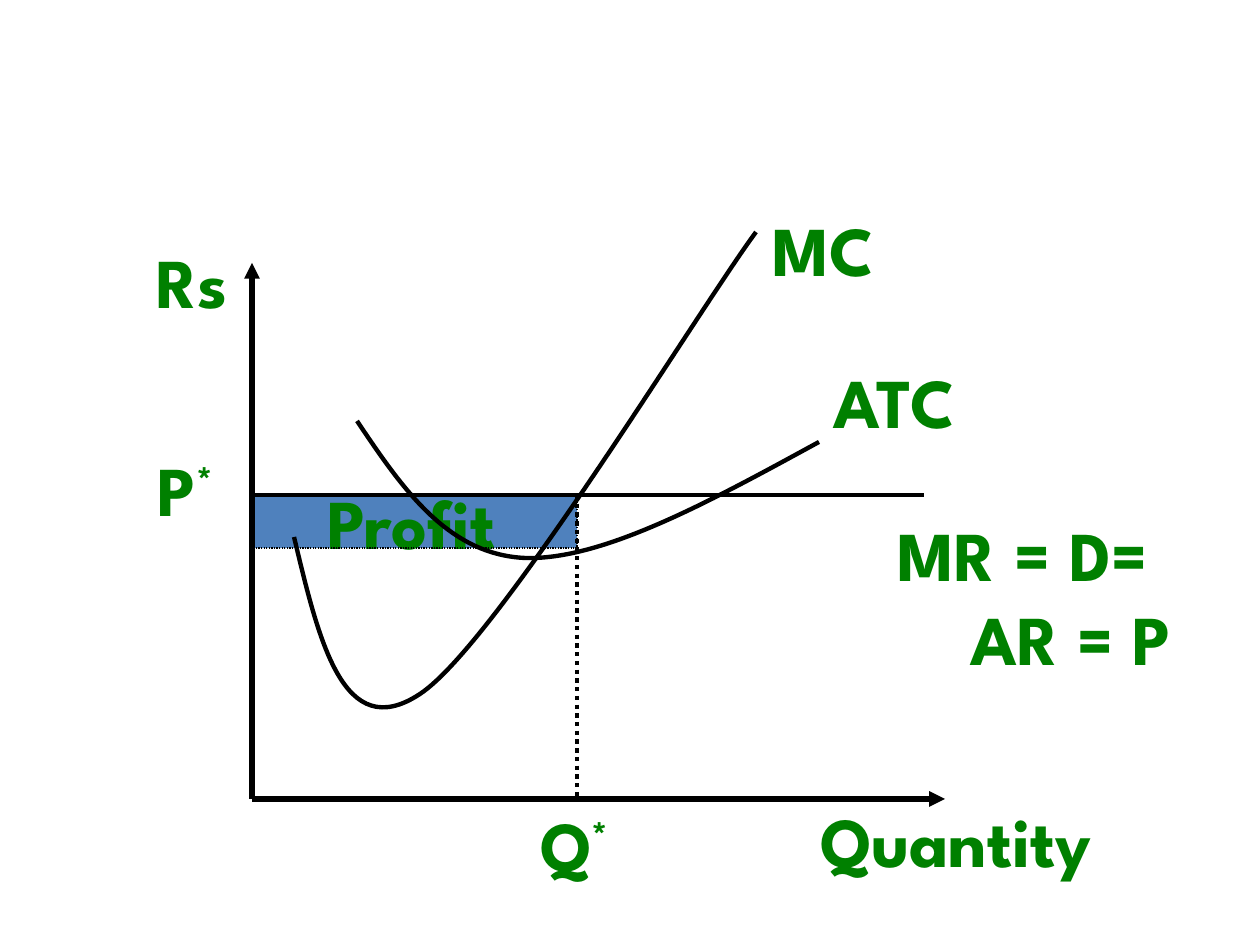
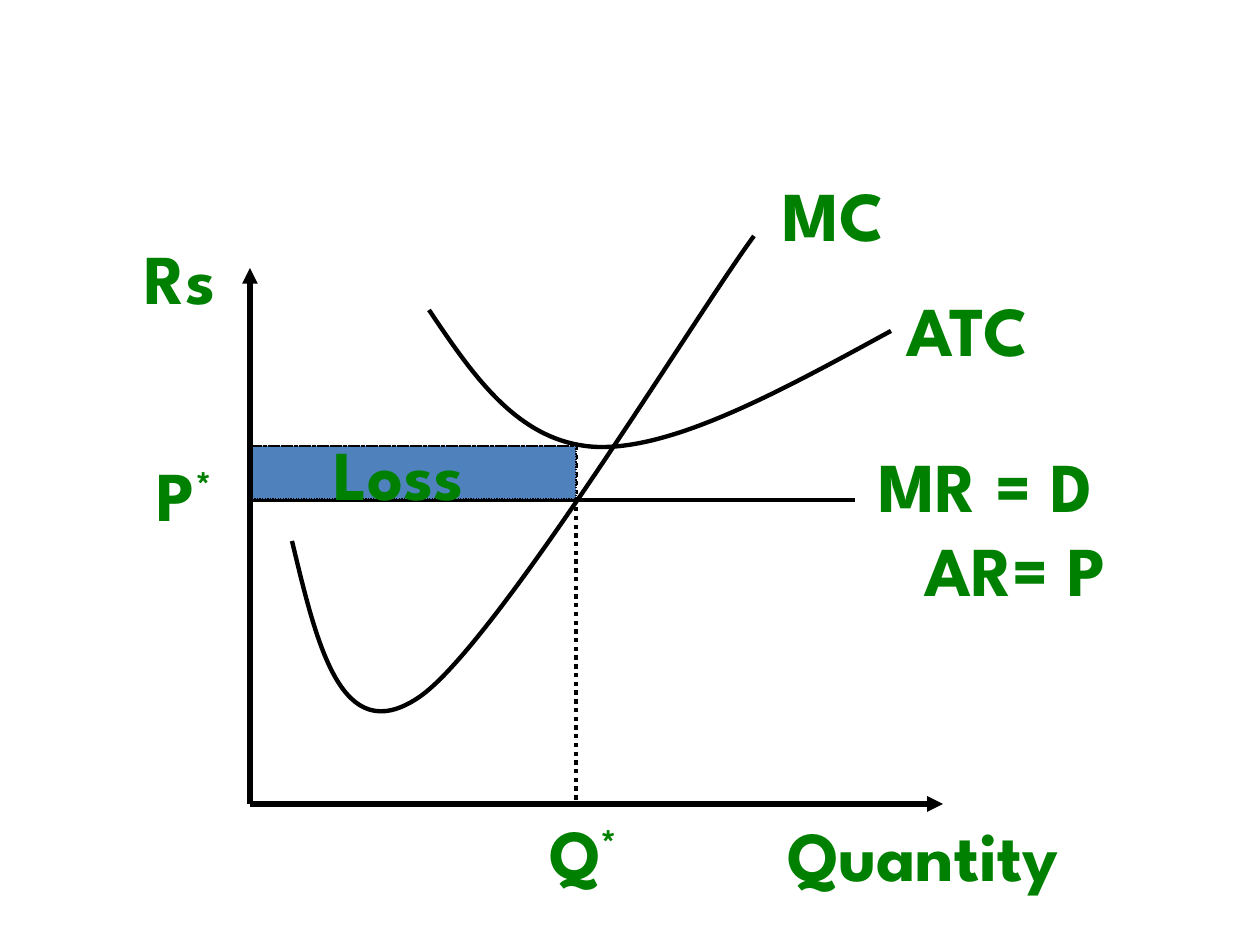
from lxml.etree import SubElement
from pptx import Presentation
from pptx.dml.color import RGBColor
from pptx.enum.dml import MSO_LINE
from pptx.enum.shapes import MSO_CONNECTOR, MSO_SHAPE
from pptx.enum.text import MSO_ANCHOR, PP_ALIGN
from pptx.oxml.ns import qn
from pptx.util import Pt

PX = 914400 / 126
BLACK = RGBColor(0x00, 0x00, 0x00)
GREEN = RGBColor(0x00, 0x80, 0x00)
BLUE = RGBColor(0x4F, 0x81, 0xBD)

MC_CURVE = [(25, 104), (49, 208), (126, 157), (202, 107), (405, -228), (462, -305)]
ATC_CURVE = [(45, 67), (90, 133), (167, 137), (245, 140), (354, 80), (462, 21)]
LABEL_HEIGHT = 97
LABEL_WIDTHS = {"Rs": 106, "MC": 135, "ATC": 159, "Quantity": 336, "Q*": 102, "P*": 91}
AREA_HEIGHT = 53


def emu(*lengths):
    return [round(length * PX) for length in lengths]


class Diagram:
    font = "League Spartan"
    size = Pt(40)
    axis_width = 3
    curve_width = 2.5
    edge_width = 0.75

    def __init__(self, deck):
        self.slide = deck.slides.add_slide(deck.slide_layouts[6])
        self.shapes = self.slide.shapes

    def stroke(self, line, width, dotted=False):
        line.color.rgb = BLACK
        line.width = Pt(width)
        if dotted:
            line.dash_style = MSO_LINE.ROUND_DOT

    def line(self, start, end, width, dotted=False, arrow=False):
        connector = self.shapes.add_connector(MSO_CONNECTOR.STRAIGHT, *emu(*start, *end))
        self.stroke(connector.line, width, dotted)
        if arrow:
            SubElement(connector.line._get_or_add_ln(), qn("a:tailEnd"), type="triangle")
        SubElement(connector.element.spPr, qn("a:effectLst"))

    def curve(self, start, offsets):
        x, y = start
        builder = self.shapes.build_freeform(x, y, scale=PX)
        builder.add_line_segments([(x + dx, y + dy) for dx, dy in offsets], close=False)
        outline = builder.convert_to_shape()
        outline.shadow.inherit = False
        outline.fill.background()
        self.stroke(outline.line, self.curve_width)
        segments = list(outline.element.iter(qn("a:lnTo")))
        for first in range(0, len(segments), 3):
            bezier = SubElement(segments[first].getparent(), qn("a:cubicBezTo"))
            for segment in segments[first:first + 3]:
                bezier.append(segment[0])
                segment.getparent().remove(segment)

    def add_text(self, paragraph, text, raised=False):
        run = paragraph.add_run()
        run.text = text
        run.font.name = self.font
        run.font.size = self.size
        run.font.bold = True
        run.font.color.rgb = GREEN
        if raised:
            run.font._element.set("baseline", "30000")

    def indent(self, paragraph, distance):
        paragraph.alignment = PP_ALIGN.LEFT
        paragraph._p.get_or_add_pPr().set("marL", str(*emu(distance)))

    def label(self, text, left, top):
        box = self.shapes.add_textbox(*emu(left, top, LABEL_WIDTHS[text], LABEL_HEIGHT))
        box.text_frame.word_wrap = False
        paragraph = box.text_frame.paragraphs[0]
        paragraph.alignment = PP_ALIGN.CENTER
        self.add_text(paragraph, text.rstrip("*"))
        if text.endswith("*"):
            self.add_text(paragraph, "*", raised=True)

    def demand_label(self, first, second, left, top, step):
        box = self.shapes.add_textbox(*emu(left, top, 330, 181))
        frame = box.text_frame
        frame.word_wrap = True
        self.indent(frame.paragraphs[0], 0)
        self.add_text(frame.paragraphs[0], first)
        equality = frame.add_paragraph()
        self.indent(equality, step)
        self.add_text(equality, second)

    def area(self, name, left, top, right, indent):
        region = self.shapes.add_shape(
            MSO_SHAPE.RECTANGLE, *emu(left, top, right - left, AREA_HEIGHT))
        region.shadow.inherit = False
        region.fill.solid()
        region.fill.fore_color.rgb = BLUE
        self.stroke(region.line, self.edge_width, dotted=True)
        frame = region.text_frame
        frame.word_wrap = True
        frame.vertical_anchor = MSO_ANCHOR.MIDDLE
        self.indent(frame.paragraphs[0], indent)
        self.add_text(frame.paragraphs[0], name)

    def axes(self, origin, top, right):
        x, y = origin
        self.line(origin, (x, top), self.axis_width, arrow=True)
        self.line(origin, (right, y), self.axis_width, arrow=True)

    def price(self, left, right, level):
        self.line((left, level), (right, level), self.curve_width)

    def output(self, quantity, top, bottom):
        self.line((quantity, top), (quantity, bottom), self.curve_width, dotted=True)

    def cost_edge(self, left, right, level):
        self.line((right, level), (left, level), self.edge_width, dotted=True)

    def labels(self, positions):
        for text, (left, top) in positions.items():
            self.label(text, left, top)


def profit_slide(deck):
    diagram = Diagram(deck)
    left, bottom, quantity, price = 252, 799, 577, 495
    diagram.area("Profit", left, price, quantity, indent=63)
    diagram.axes((left, bottom), top=263, right=945)
    diagram.price(left, 924, price)
    diagram.curve((294, 537), MC_CURVE)
    diagram.curve((357, 421), ATC_CURVE)
    diagram.output(quantity, price, bottom)
    diagram.cost_edge(left, quantity, price + AREA_HEIGHT)
    diagram.labels({
        "Rs": (139, 232), "MC": (756, 200), "ATC": (815, 352),
        "Quantity": (788, 791), "Q*": (523, 795), "P*": (140, 440),
    })
    diagram.demand_label("MR = D=", "AR = P", 885, 505, step=73)


def loss_slide(deck):
    diagram = Diagram(deck)
    left, bottom, quantity, price = 250, 804, 576, 500
    cost = price - AREA_HEIGHT - 1
    diagram.price(left, 855, price)
    diagram.curve((292, 541), MC_CURVE)
    diagram.curve((429, 310), ATC_CURVE)
    diagram.output(quantity, cost, bottom)
    diagram.area("Loss", left, cost, quantity, indent=71)
    diagram.cost_edge(left, quantity, cost)
    diagram.axes((left, bottom), top=268, right=943)
    diagram.labels({
        "Rs": (127, 228), "MC": (766, 165), "ATC": (888, 280),
        "Quantity": (755, 805), "Q*": (532, 803), "P*": (139, 445),
    })
    diagram.demand_label("MR = D", "AR= P", 866, 436, step=46)


def main():
    deck = Presentation()
    deck.slide_width, deck.slide_height = emu(1260, 945)
    profit_slide(deck)
    loss_slide(deck)
    deck.save("out.pptx")


if __name__ == "__main__":
    main()
